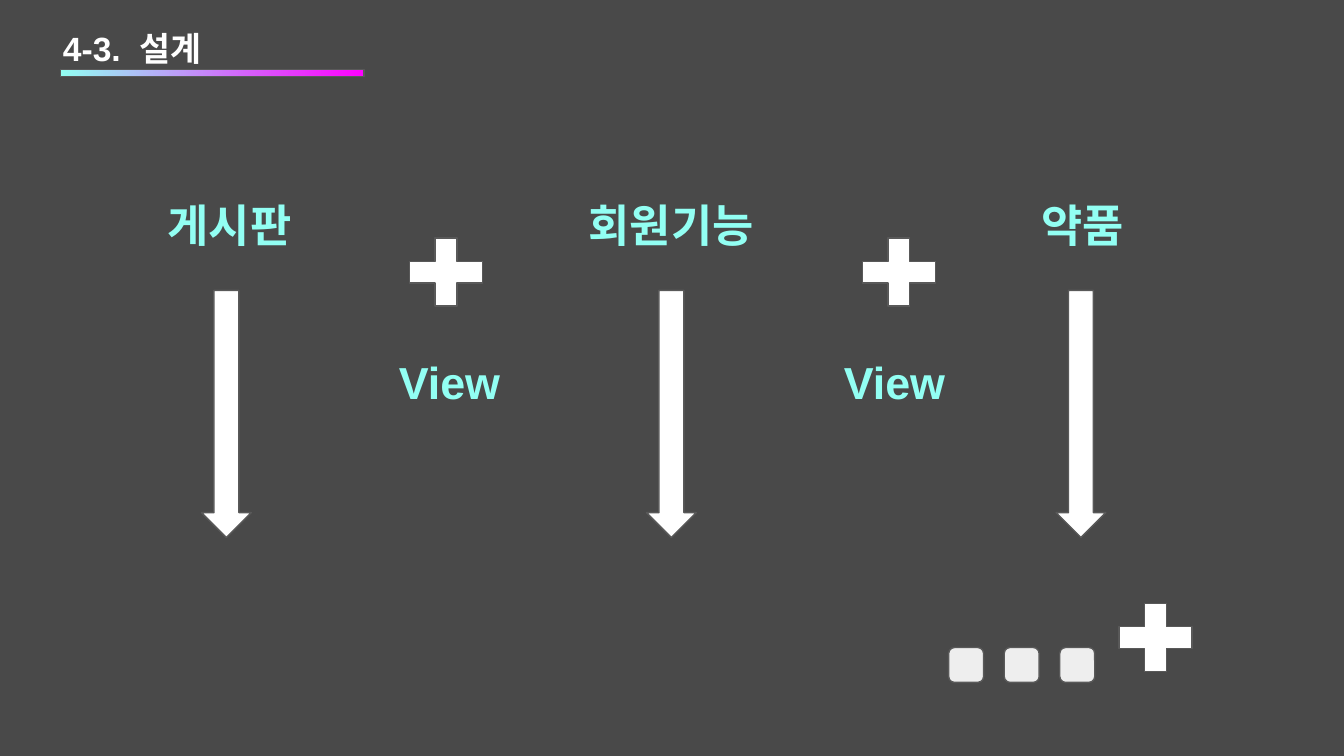
from pptx import Presentation
from pptx.dml.color import RGBColor
from pptx.enum import shapes, text
from pptx.util import Cm, Pt

CHARCOAL = RGBColor(0x49, 0x49, 0x49)
OUTLINE = RGBColor(0x59, 0x59, 0x59)
WHITE = RGBColor(0xFF, 0xFF, 0xFF)
PALE_GREY = RGBColor(0xEE, 0xEE, 0xEE)
AQUA = RGBColor(0x92, 0xFF, 0xF3)
MAGENTA = RGBColor(0xFF, 0x00, 0xFF)

KIND = shapes.MSO_SHAPE
LEFT, CENTER = text.PP_ALIGN.LEFT, text.PP_ALIGN.CENTER
TOP, MIDDLE = text.MSO_ANCHOR.TOP, text.MSO_ANCHOR.MIDDLE
PLUS_SIZE = (1.88, 1.75)


def add_figure(slide, kind, box, color, outlined=True):
    figure = slide.shapes.add_shape(kind, *map(Cm, box))
    figure.shadow.inherit = False
    figure.fill.solid()
    figure.fill.fore_color.rgb = color
    if outlined:
        figure.line.color.rgb = OUTLINE
        figure.line.width = Pt(0.75)
    else:
        figure.line.fill.background()
    return figure


def prepare_frame(frame, align, anchor):
    frame.word_wrap = True
    frame.auto_size = text.MSO_AUTO_SIZE.NONE
    frame.vertical_anchor = anchor
    frame.margin_left = frame.margin_right = Cm(0.25)
    frame.margin_top = frame.margin_bottom = Cm(0.25)
    frame.paragraphs[0].alignment = align
    return frame.paragraphs[0]


def add_run(paragraph, words, size, color):
    run = paragraph.add_run()
    run.text = words
    run.font.name = "Arial"
    run.font.size = Pt(size)
    run.font.bold = True
    run.font.color.rgb = color
    return run


def add_label(slide, words, box, align=CENTER, anchor=TOP):
    label = slide.shapes.add_textbox(*map(Cm, box))
    paragraph = prepare_frame(label.text_frame, align, anchor)
    paragraph.line_spacing = 1.15
    add_run(paragraph, words, 24, AQUA)


def add_backdrop(slide, box):
    backdrop = add_figure(slide, KIND.RECTANGLE, box, CHARCOAL, outlined=False)
    slide.shapes.title.element.addprevious(backdrop.element)


def add_heading(slide, box):
    left, top, width, height = box
    heading = slide.shapes.title
    heading.left, heading.top = Cm(left), Cm(top)
    heading.width, heading.height = Cm(width), Cm(height)
    paragraph = prepare_frame(heading.text_frame, LEFT, TOP)
    add_run(paragraph, "4-3.", 18, WHITE)
    gap = add_run(paragraph, " ", 18, WHITE)
    gap.font._element.set("spc", "500")
    add_run(paragraph, "설계", 18, WHITE)

    underline = add_figure(
        slide, KIND.RECTANGLE, (left + 0.2, top + 1.04, 5.74, 0.13), AQUA)
    underline.fill.gradient()
    underline.fill.gradient_angle = 0
    stops = underline.fill.gradient_stops
    for stop, position, color in zip(stops, (0, 1), (AQUA, MAGENTA)):
        stop.position = position
        stop.color.rgb = color


def add_feature(slide, words, box, arrow_left, align):
    left, top, width, height = box
    add_label(slide, words, (left, top, width, 1.75), align)
    add_figure(slide, KIND.DOWN_ARROW,
               (arrow_left, top + 2.16, 0.94, height - 2.16), WHITE)


def add_view(slide, box, plus_left):
    left, top, width, height = box
    add_figure(slide, KIND.MATH_PLUS, (plus_left, top, *PLUS_SIZE), WHITE)
    add_label(slide, "View", (left, top + height - 1.75, width, 1.75),
              anchor=MIDDLE)


def add_more_to_come(slide, box):
    left, top, width, height = box
    dot = 0.66
    for index in range(3):
        add_figure(slide, KIND.ROUNDED_RECTANGLE,
                   (left + index * 1.05, top + height - dot, dot, dot),
                   PALE_GREY)
    add_figure(slide, KIND.MATH_PLUS,
               (left + width - PLUS_SIZE[0], top, *PLUS_SIZE), WHITE)


def main():
    deck = Presentation()
    deck.slide_width, deck.slide_height = Cm(25.4), Cm(14.29)
    slide = deck.slides.add_slide(deck.slide_layouts[5])

    add_backdrop(slide, (0, 0, 25.4, 14.29))
    add_heading(slide, (0.94, 0.28, 10.16, 1.32))

    features = [
        ("게시판", 2.92, 5.31, 3.81, LEFT),
        ("회원기능", 10.49, 4.39, 12.22, CENTER),
        ("약품", 19.43, 3.71, 19.96, LEFT),
    ]
    for words, left, width, arrow_left, align in features:
        add_feature(slide, words, (left, 3.33, width, 6.83), arrow_left, align)

    for left, plus_left in ((6.45, 7.49), (14.86, 16.05)):
        add_view(slide, (left, 4.27, 4.09, 3.75), plus_left)

    add_more_to_come(slide, (17.93, 11.18, 4.85, 1.72))
    deck.save("out.pptx")


if __name__ == "__main__":
    main()
